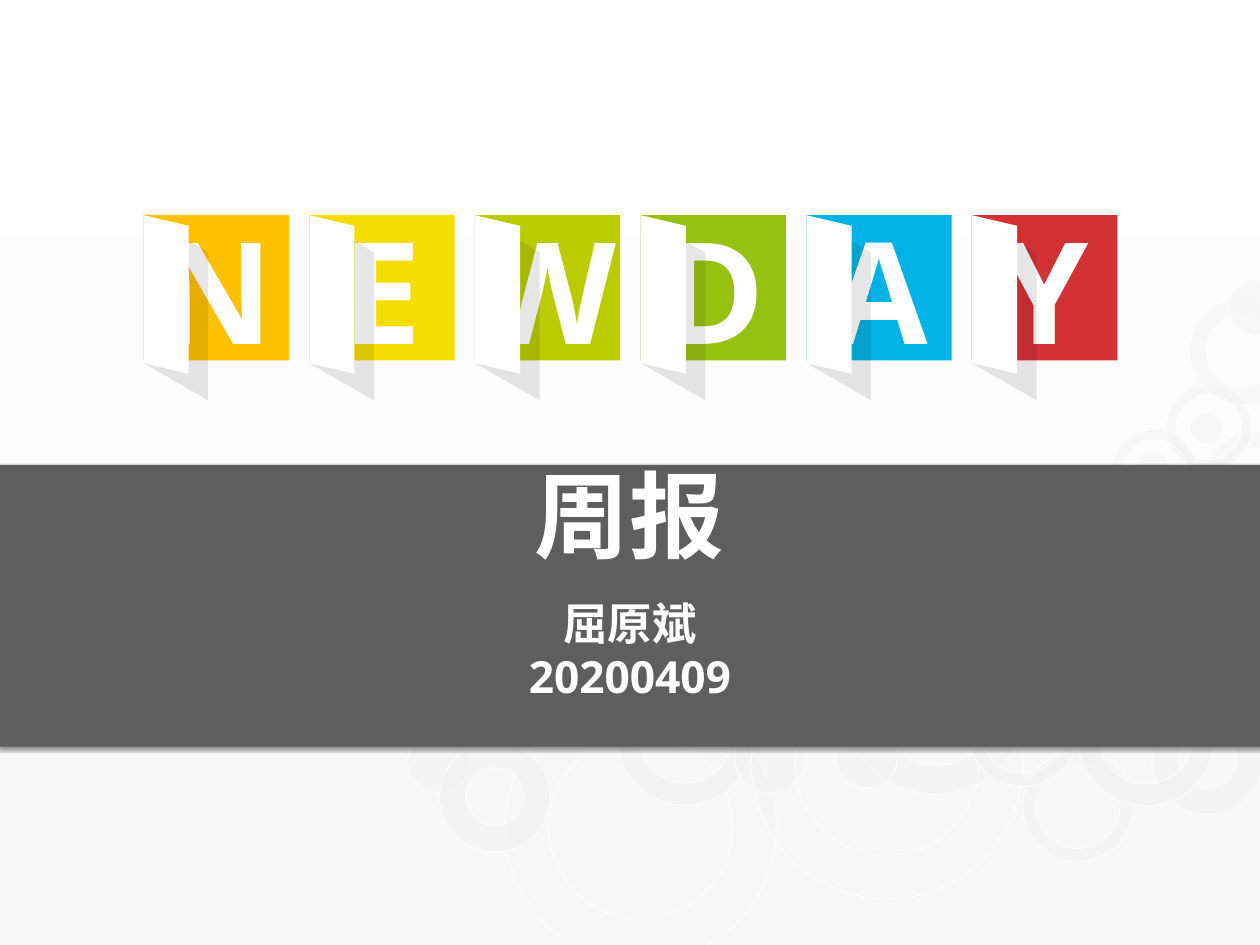
from lxml.etree import SubElement
from pptx import Presentation
from pptx.dml.color import RGBColor
from pptx.enum.shapes import MSO_SHAPE
from pptx.enum.text import MSO_ANCHOR, MSO_AUTO_SIZE, PP_ALIGN
from pptx.oxml.ns import qn
from pptx.util import Inches, Pt

WHITE = RGBColor(0xFF, 0xFF, 0xFF)
PALE = RGBColor(0xF7, 0xF7, 0xF7)
MIST = RGBColor(0xF2, 0xF2, 0xF2)
SLATE = RGBColor(0x5E, 0x5E, 0x5E)
INK = RGBColor(0x0D, 0x0D, 0x0D)
AMBER = RGBColor(0xFF, 0xC0, 0x00)
YELLOW = RGBColor(0xF5, 0xDD, 0x00)
LIME = RGBColor(0xBA, 0xCB, 0x00)
GREEN = RGBColor(0x96, 0xC1, 0x10)
BLUE = RGBColor(0x00, 0xB3, 0xE6)
RED = RGBColor(0xD4, 0x31, 0x35)

FONT = "Open Sans"
DOORS = [("N", AMBER), ("E", YELLOW), ("W", LIME),
         ("D", GREEN), ("A", BLUE), ("Y", RED)]
SIDE = 1.64
STEP = 1.87

# left, top, size, rim as a share of the size (0 for a disc), opacity
RINGS = [
    (13.57, 4.87, 1.21, 0.16, 31), (5.7, 7.81, 3.06, 0.16, 13),
    (11.54, 8.48, 1.25, 0.12, 54), (13.16, 4.34, 0.97, 0.12, 54),
    (12.82, 5.08, 0.36, 0, 47), (9.52, 6.9, 2.07, 0.16, 42),
    (6.96, 7.54, 1.55, 0.16, 75), (8.29, 8.15, 0.8, 0, 39),
    (8.48, 7.09, 3.06, 0.16, 13), (10.92, 7.63, 1.25, 0.12, 54),
    (13, 7.95, 1.25, 0.24, 54), (4.6, 8.25, 0.7, 0, 47),
    (7.56, 8.09, 0.36, 0, 47), (12.16, 7.55, 1.55, 0.16, 75),
    (13.42, 3.36, 1.21, 0.16, 31), (13.87, 3.16, 0.63, 0, 47),
    (11.52, 5.22, 3.06, 0.16, 13), (12.55, 4.85, 0.97, 0.12, 54),
    (4.96, 8.37, 1.25, 0.24, 54), (13.43, 4.66, 0.36, 0, 47),
    (9.43, 8.2, 0.7, 0, 47),
]


def fade(node, share):
    """Give the colour inside an XML node an opacity in percent."""
    tint = next(node.iter(qn("a:srgbClr")))
    SubElement(tint, qn("a:alpha"), val=str(share * 1000))


def paint(shape, color):
    """Fill a shape with one colour, without line or shadow."""
    shape.shadow.inherit = False
    shape.fill.solid()
    shape.fill.fore_color.rgb = color
    shape.line.fill.background()


def add_box(slide, kind, left, top, width, height, color):
    """Add a plain preset shape."""
    shape = slide.shapes.add_shape(kind, Inches(left), Inches(top),
                                   Inches(width), Inches(height))
    paint(shape, color)
    return shape


def add_ring(slide, left, top, size, rim, share):
    """Add a faint ring, or a disc when it has no rim."""
    kind = MSO_SHAPE.DONUT if rim else MSO_SHAPE.OVAL
    ring = add_box(slide, kind, left, top, size, size, MIST)
    if rim:
        ring.adjustments[0] = rim
    ring.line.color.rgb = WHITE
    ring.line.width = Pt(1)
    props = ring.element.spPr
    fade(props.find(qn("a:solidFill")), share)
    fade(props.find(qn("a:ln")), 70)


def add_band(slide):
    """Add the dark band with its soft shadow."""
    band = add_box(slide, MSO_SHAPE.RECTANGLE, -0.03, 5.25, 14.28, 3.18, SLATE)
    effects = band.element.spPr.find(qn("a:effectLst"))
    shade = SubElement(effects, qn("a:outerShdw"), blurRad=str(Pt(3)),
                       dist=str(Pt(2)), dir="5400000", rotWithShape="0")
    SubElement(shade, qn("a:srgbClr"), val="000000")
    fade(shade, 48)


def write(shape, text, size, anchor):
    """Put centred bold white text in a shape."""
    frame = shape.text_frame
    frame.text = text
    frame.word_wrap = True
    frame.auto_size = MSO_AUTO_SIZE.NONE
    frame.vertical_anchor = anchor
    frame.margin_left = frame.margin_right = Inches(0.05)
    frame.margin_top = frame.margin_bottom = Inches(0.05)
    for para in frame.paragraphs:
        para.alignment = PP_ALIGN.CENTER
        para.space_before = Pt(0)
        for run in para.runs:
            run.font.name = FONT
            run.font.size = Pt(size)
            run.font.bold = True
            run.font.color.rgb = WHITE


def fill_holder(slide, index, text, size, left, top, width, height):
    """Place a placeholder in front and write its text."""
    holder = slide.placeholders[index]
    holder.left, holder.top = Inches(left), Inches(top)
    holder.width, holder.height = Inches(width), Inches(height)
    write(holder, text, size, MSO_ANCHOR.TOP)
    slide.shapes.element.append(holder.element)
    return holder


def add_leaf(slide, left, width, drop, color):
    """Add a slanted leaf hinged on the left edge of a door."""
    top, low = 2.43, 4.1
    right = left + width
    points = [(right, top + drop), (right, low + drop), (left, low)]
    path = slide.shapes.build_freeform(Inches(left), Inches(top))
    path.add_line_segments([(Inches(x), Inches(y)) for x, y in points])
    leaf = path.convert_to_shape()
    paint(leaf, color)
    return leaf


def add_door(slide, left, letter, color):
    """Add a coloured square with a letter behind an open door."""
    add_box(slide, MSO_SHAPE.RECTANGLE, left, 2.43, SIDE, SIDE, color)
    label = slide.shapes.add_textbox(Inches(left), Inches(2.24),
                                     Inches(SIDE), Inches(2.02))
    write(label, letter, 115, MSO_ANCHOR.MIDDLE)
    shade = add_leaf(slide, left, 0.73, 0.42, INK)
    fade(shade.element.spPr.find(qn("a:solidFill")), 10)
    add_leaf(slide, left, 0.51, 0.12, WHITE)


def set_back(slide):
    """Give the slide a vertical gradient from white to pale grey."""
    fill = slide.background.fill
    fill.gradient()
    fill.gradient_angle = 270
    for stop, color in zip(fill.gradient_stops, (WHITE, PALE)):
        stop.color.rgb = color


def main():
    """Build the cover slide and save it."""
    deck = Presentation()
    deck.slide_width, deck.slide_height = Inches(14.22), Inches(10.67)
    slide = deck.slides.add_slide(deck.slide_layouts[0])
    set_back(slide)
    for ring in RINGS:
        add_ring(slide, *ring)
    add_band(slide)
    title = fill_holder(slide, 0, "周报", 77, 4.08, 5.35, 6.05, 1.07)
    title.text_frame.paragraphs[0].line_spacing = Pt(75)
    fill_holder(slide, 1, "屈原斌\n20200409", 36, 5.48, 6.68, 3.26, 1.64)
    for place, (letter, color) in enumerate(DOORS):
        add_door(slide, 1.62 + place * STEP, letter, color)
    deck.save("out.pptx")


if __name__ == "__main__":
    main()
